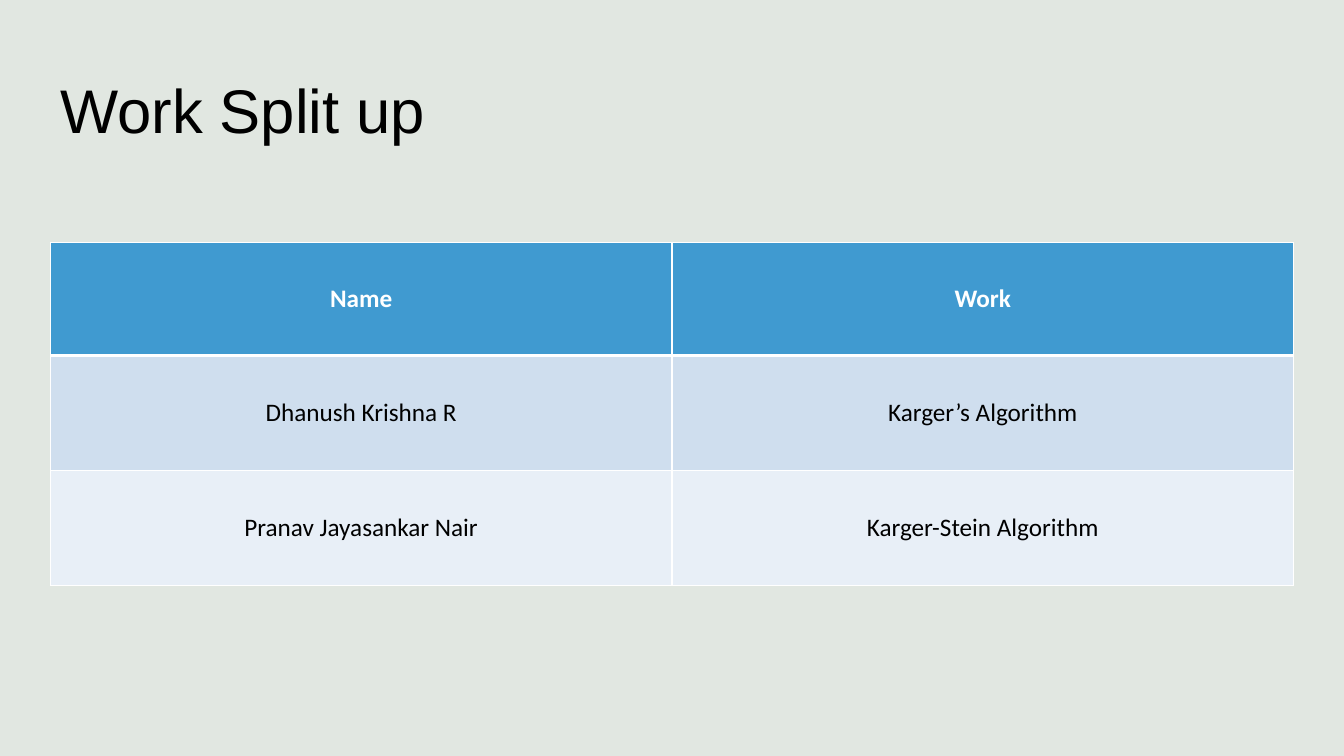
from lxml.etree import SubElement
from pptx import Presentation
from pptx.dml.color import RGBColor
from pptx.enum.shapes import MSO_SHAPE
from pptx.enum.text import MSO_ANCHOR, PP_ALIGN
from pptx.oxml.ns import qn
from pptx.util import Cm, Pt

TITLE = "Work Split up"
ROWS = [
    ("Name", "Work"),
    ("Dhanush Krishna R", "Karger’s Algorithm"),
    ("Pranav Jayasankar Nair", "Karger-Stein Algorithm"),
]
COLORS = {
    "backdrop": "D5DED5",
    "header": "409AD0",
    "odd": "CFDEEE",
    "even": "E8EFF7",
    "white": "FFFFFF",
    "black": "000000",
}
ROW_FILLS = ["header", "odd", "even"]
ROW_HEIGHTS = [2.84, 2.9, 2.9]
SLIDE_W, SLIDE_H = 33.87, 19.05
LEFT, TABLE_TOP, TABLE_W = 1.27, 6.12, 31.33


def rgb(name):
    return RGBColor.from_string(COLORS[name])


def add_run(p, text, font, size, color, bold=False):
    r = p.add_run()
    r.text = text
    r.font.name = font
    r.font.size = Pt(size)
    r.font.bold = bold
    r.font.color.rgb = rgb(color)


def add_borders(cell, widths):
    tcPr = cell._tc.get_or_add_tcPr()
    for side, width in zip("LRTB", widths):
        ln = SubElement(tcPr, qn(f"a:ln{side}"), w=str(Pt(width)))
        fill = SubElement(ln, qn("a:solidFill"))
        SubElement(fill, qn("a:srgbClr"), val=COLORS["white"])


def add_backdrop(s):
    sp = s.shapes.add_shape(MSO_SHAPE.RECTANGLE, 0, 0, Cm(SLIDE_W), Cm(SLIDE_H))
    sp.shadow.inherit = False
    sp.line.fill.background()
    sp.fill.solid()
    sp.fill.fore_color.rgb = rgb("backdrop")
    color = sp._element.spPr.find(qn("a:solidFill")).find(qn("a:srgbClr"))
    SubElement(color, qn("a:alpha"), val="70000")


def add_title(s):
    sp = s.shapes.add_textbox(Cm(LEFT), Cm(1.02), Cm(30.28), Cm(3.68))
    tf = sp.text_frame
    tf.word_wrap = True
    tf.vertical_anchor = MSO_ANCHOR.MIDDLE
    p = tf.paragraphs[0]
    p.line_spacing = 0.9
    add_run(p, TITLE, "Arial", 44, "black")


def add_work_table(s):
    n_cols = len(ROWS[0])
    table = s.shapes.add_table(
        len(ROWS), n_cols, Cm(LEFT), Cm(TABLE_TOP), Cm(TABLE_W), Cm(sum(ROW_HEIGHTS))
    ).table
    for col in table.columns:
        col.width = Cm(TABLE_W / n_cols)
    for i, row in enumerate(ROWS):
        table.rows[i].height = Cm(ROW_HEIGHTS[i])
        header = i == 0
        for j, text in enumerate(row):
            cell = table.cell(i, j)
            add_borders(cell, (1, 1, 3 if i == 1 else 1, 3 if header else 1))
            cell.fill.solid()
            cell.fill.fore_color.rgb = rgb(ROW_FILLS[i])
            cell.vertical_anchor = MSO_ANCHOR.MIDDLE
            p = cell.text_frame.paragraphs[0]
            p.alignment = PP_ALIGN.CENTER
            add_run(p, text, "Calibri", 18, "white" if header else "black", header)


def main():
    prs = Presentation()
    prs.slide_width, prs.slide_height = Cm(SLIDE_W), Cm(SLIDE_H)
    s = prs.slides.add_slide(prs.slide_layouts[6])
    add_backdrop(s)
    add_title(s)
    add_work_table(s)
    prs.save("out.pptx")


if __name__ == "__main__":
    main()
